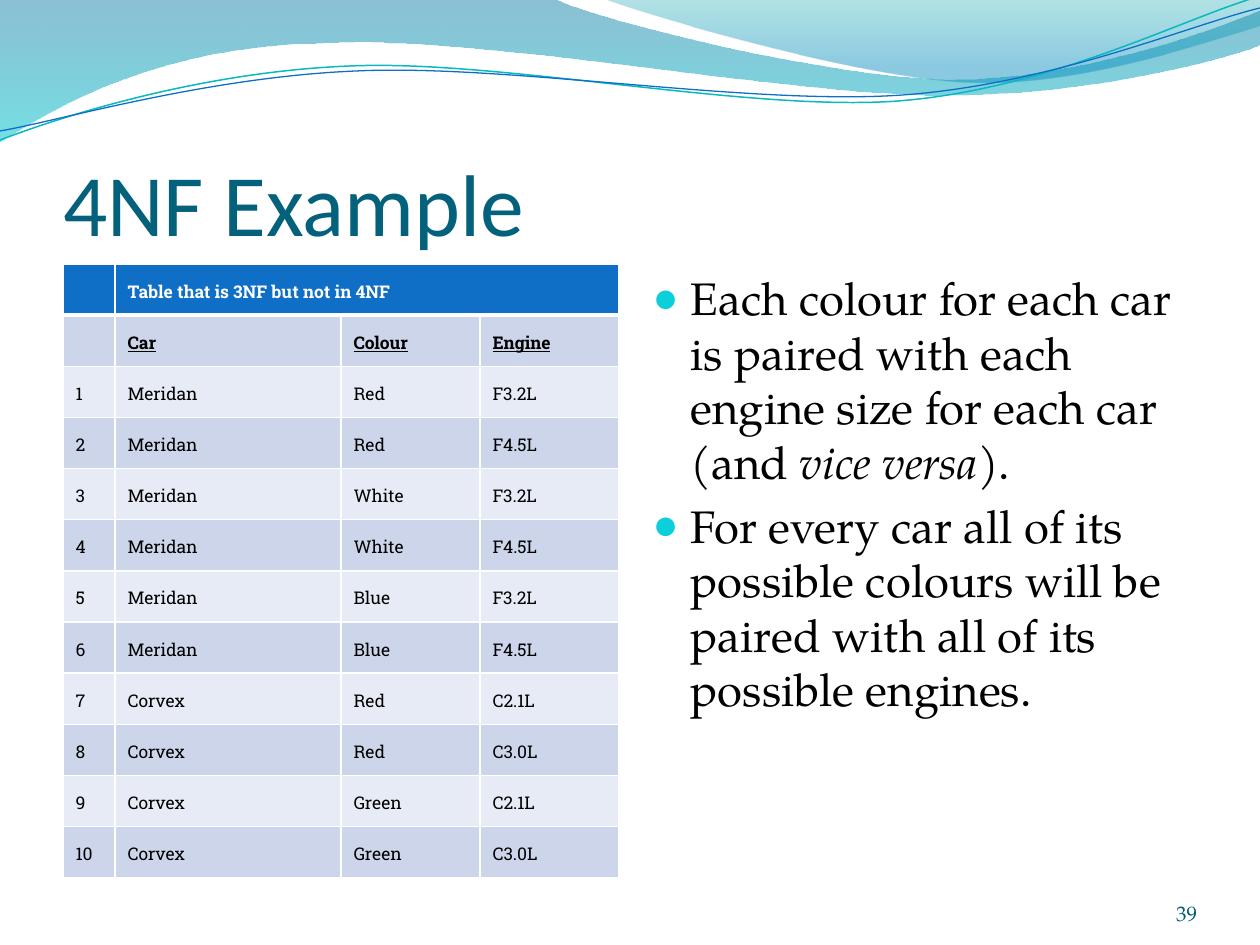
"""Build the 4NF example slide: wave banner, table of cars and explanatory bullets."""
from lxml.etree import SubElement
from pptx import Presentation
from pptx.dml.color import RGBColor as RGB
from pptx.enum.text import MSO_ANCHOR as ANCHOR, PP_ALIGN as ALIGN
from pptx.oxml.ns import qn
from pptx.util import Pt

PX = 914400 / 126
COLOURS = {
    "title": "04617B", "number": "045D75", "bullet": "0BD0D9", "text": "000000",
    "white": "FFFFFF", "header": "0F6FC6", "dark_row": "CCD5EA", "light_row": "E7EBF5",
    "wave_top": "0074A1", "wave_end": "00C6CF", "crest_top": "00A1A9",
    "crest_end": "008BBF", "teal_line": "0AB8BF", "blue_line": "0F6FC6",
}
RGBS = {part: RGB.from_string(value) for part, value in COLOURS.items()}
SERIF, SLAB = "TeX Gyre Pagella", "Roboto Slab"


def place(box, left, top, width, height):
    """Position a shape in px."""
    box.left, box.top = round(left * PX), round(top * PX)
    box.width, box.height = round(width * PX), round(height * PX)


def trace(start, segments, close):
    """Draw an outline of straight (2 numbers) and cubic (6 numbers) segments."""
    builder = slide.shapes.build_freeform(*start, scale=PX)
    builder.add_line_segments([segment[-2:] for segment in segments], close=close)
    outline = builder.convert_to_shape()
    outline.shadow.inherit = False
    left = min(x for x, *_ in [start, *(s[-2:] for s in segments)])
    top = min(y for _, y in [start, *(s[-2:] for s in segments)])
    steps = list(outline._element.spPr.iter(qn("a:lnTo")))
    for step, segment in zip(steps, segments):
        if len(segment) == 6:
            step.tag = qn("a:cubicBezTo")
            step.remove(step[0])
            for x, y in zip(segment[::2], segment[1::2]):
                SubElement(step, qn("a:pt"), x=str(x - left), y=str(y - top))
    return outline


deck = Presentation()
deck.slide_width, deck.slide_height = round(1260 * PX), round(945 * PX)
slide = deck.slides.add_slide(deck.slide_layouts[1])
title, body = slide.placeholders

banner = []
waves = [
    ((0, 0), [(554, -1), (600, 21, 837, 79, 955, 79), (1074, 79, 1207, 33, 1260, 11),
              (1261, 45), (1238, 55, 1096, 96, 940, 95), (783, 95, 481, 35, 324, 43),
              (163, 45, 58, 105, -1, 142), (0, 0)],
     [("wave_top", 0, 45), ("wave_end", 1, 55)]),
    ((604, -1), [(641, 14, 859, 78, 969, 82), (1079, 87, 1211, 40, 1260, 26),
                 (1260, 0), (604, -1)],
     [("crest_top", 0, 30), ("crest_end", 0.8, 45)]),
]
for start, segments, stops in waves:
    wave = trace(start, segments, True)
    wave.line.fill.background()
    wave.fill.gradient()
    wave.fill.gradient_angle = 270
    for stop, (part, position, _) in zip(wave.fill.gradient_stops, stops):
        stop.color.rgb, stop.position = RGBS[part], position
    shades = wave._element.spPr.iter(qn("a:srgbClr"))
    for shade, (_, _, opacity) in zip(shades, stops):
        SubElement(shade, qn("a:alpha")).set("val", str(opacity * 1000))
    banner.append(wave)

ripples = [
    ((0, 140), [(60, 117, 199, 72, 349, 66), (498, 59, 747, 112, 898, 101),
                (1050, 89, 1182, 19, 1257, -3)], "teal_line", 0.85),
    ((0, 131), [(59, 121, 207, 77, 357, 71), (508, 64, 752, 106, 903, 95),
                (1053, 84, 1187, 26, 1260, 8)], "blue_line", 0.75),
]
for start, segments, part, weight in ripples:
    ripple = trace(start, segments, False)
    ripple.fill.background()
    ripple.line.color.rgb, ripple.line.width = RGBS[part], Pt(weight)
    banner.append(ripple)
for depth, part in enumerate(banner, 2):
    slide.shapes._spTree.insert(depth, part._element)

place(title, 63, 97, 1134, 157)
frame = title.text_frame
frame.text = "4NF Example"
frame.vertical_anchor = ANCHOR.BOTTOM
frame.margin_left = frame.margin_right = frame.margin_bottom = 0
heading = frame.paragraphs[0]
heading.alignment = ALIGN.LEFT
heading.font.name, heading.font.size = "Calibri", Pt(50)
heading.font.color.rgb = RGBS["title"]

stock = [("Meridan", ["Red", "White", "Blue"], ["F3.2L", "F4.5L"]),
         ("Corvex", ["Red", "Green"], ["C2.1L", "C3.0L"])]
cars = [(car, colour, engine) for car, colours, engines in stock
        for colour in colours for engine in engines]
rows = [("", "Table that is 3NF but not in 4NF", "", ""), ("", "Car", "Colour", "Engine")]
rows += [(str(number), *car) for number, car in enumerate(cars, 1)]
widths = [52, 226, 139, 139]
table = slide.shapes.add_table(len(rows), len(widths), round(63 * PX), round(264 * PX),
                               round(sum(widths) * PX), round(614 * PX)).table
for column, width in zip(table.columns, widths):
    column.width = round(width * PX)
table.cell(0, 1).merge(table.cell(0, 3))
for r, row in enumerate(rows):
    for c, entry in enumerate(row):
        cell = table.cell(r, c)
        cell.vertical_anchor = ANCHOR.MIDDLE
        for side in ("lnL", "lnR", "lnT", "lnB"):
            thick = (r, side) in ((0, "lnB"), (1, "lnT"))
            border = SubElement(cell._tc.tcPr, qn(f"a:{side}"), w=str(Pt(3 if thick else 1)))
            SubElement(SubElement(border, qn("a:solidFill")), qn("a:srgbClr"),
                       val=COLOURS["white"])
        cell.fill.solid()
        cell.fill.fore_color.rgb = RGBS["header" if r == 0 else "dark_row" if r % 2 else "light_row"]
        if entry:
            cell.text = entry
        line = cell.text_frame.paragraphs[0]
        line.line_spacing = 1.15
        line.font.name, line.font.size = SLAB, Pt(10)
        line.font.bold, line.font.underline = r < 2, r == 1
        line.font.color.rgb = RGBS["text" if r else "white"]

place(body, 640, 264, 557, 612)
points = [
    [("Each colour for each car is paired with each engine size for each car (and ", False),
     ("vice versa", True), (").", False)],
    [("For every car all of its possible colours will be paired with all of its "
      "possible engines.", False)],
]
frame = body.text_frame
for index, pieces in enumerate(points):
    point = frame.add_paragraph() if index else frame.paragraphs[0]
    for words, italic in pieces:
        run = point.add_run()
        run.text = words
        if italic:
            run.font.italic = True
    point.space_before = Pt(5.2)
    props = point._p.get_or_add_pPr()
    props.set("marL", str(round(38 * PX)))
    props.set("indent", str(round(-38 * PX)))
    SubElement(SubElement(props, qn("a:buClr")), qn("a:srgbClr"), val=COLOURS["bullet"])
    SubElement(props, qn("a:buSzPct"), val="95000")
    SubElement(props, qn("a:buChar"), char="●")
    point.font.name, point.font.size = SERIF, Pt(26)
    point.font.color.rgb = RGBS["text"]

footer = slide.shapes.add_textbox(0, 0, 0, 0)
place(footer, 1092, 876, 105, 50)
frame = footer.text_frame
frame.word_wrap = True
frame.vertical_anchor = ANCHOR.BOTTOM
frame.margin_left = frame.margin_right = frame.margin_top = frame.margin_bottom = 0
frame.text = "39"
number = frame.paragraphs[0]
number.alignment = ALIGN.RIGHT
number.font.name, number.font.size = SERIF, Pt(12)
number.font.color.rgb = RGBS["number"]

deck.save("out.pptx")
